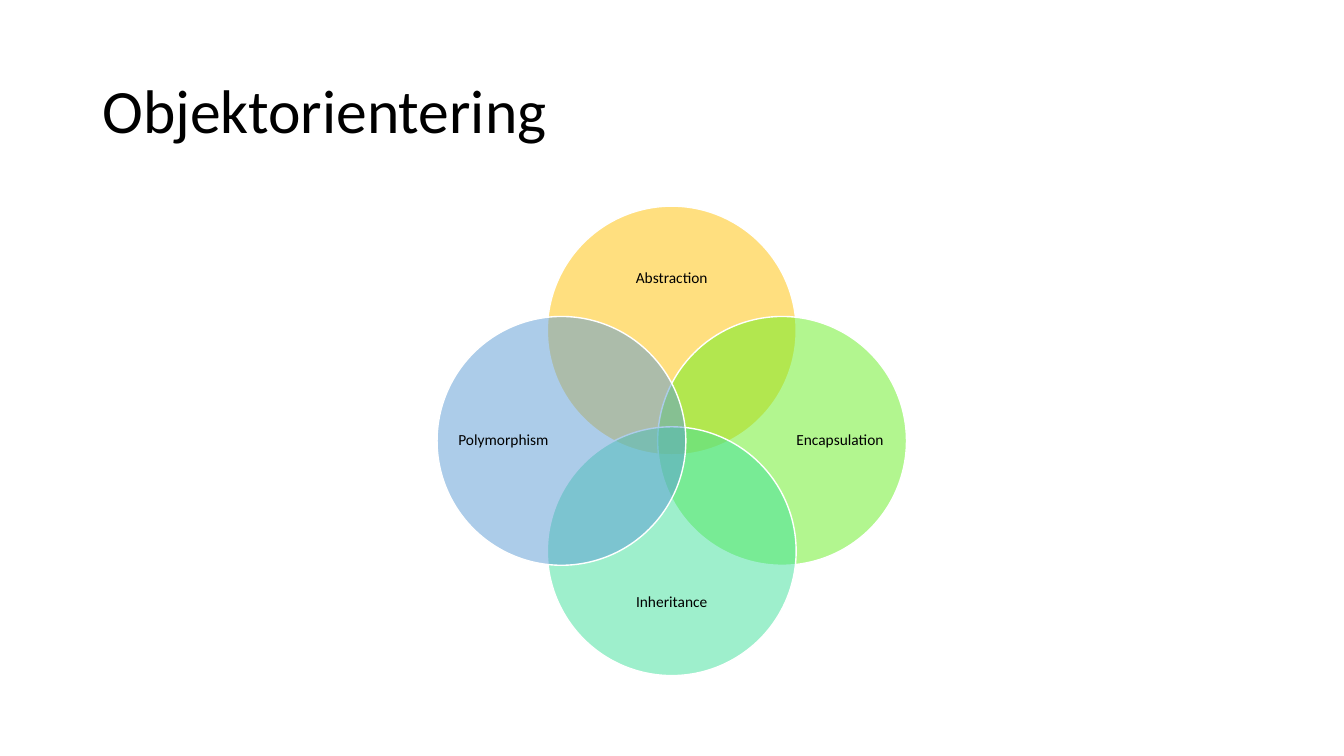
from dataclasses import dataclass

import lxml.etree
import pptx
import pptx.dml.color
import pptx.enum.shapes
import pptx.enum.text
import pptx.oxml.ns
import pptx.slide
import pptx.util
from pptx.util import Cm

CENTER_X, CENTER_Y = 16.93, 11.11
DIAMETER = 6.27
CIRCLE_OFFSET = 2.78
LABEL_OFFSET_X, LABEL_OFFSET_Y = 4.24, 4.08
LABEL_LONG = 4.83


@dataclass
class Principle:
    name: str
    color: str
    dx: int
    dy: int


PRINCIPLES = [
    Principle("Abstraction", "FFC000", 0, -1),
    Principle("Encapsulation", "67EF21", 1, 0),
    Principle("Inheritance", "3FE19B", 0, 1),
    Principle("Polymorphism", "5B9BD5", -1, 0),
]


def rgb(color: str) -> pptx.dml.color.RGBColor:
    return pptx.dml.color.RGBColor.from_string(color)


def add_text(s: pptx.slide.Slide, text: str, x: float, y: float, w: float, h: float,
             size: int, align: pptx.enum.text.PP_ALIGN, inset: bool) -> None:
    tf = s.shapes.add_textbox(Cm(x), Cm(y), Cm(w), Cm(h)).text_frame
    tf.word_wrap = True
    tf.vertical_anchor = pptx.enum.text.MSO_ANCHOR.MIDDLE
    if not inset:
        tf.margin_left = tf.margin_right = tf.margin_top = tf.margin_bottom = 0
    p = tf.paragraphs[0]
    p.alignment = align
    p.line_spacing = 0.9
    r = p.add_run()
    r.text = text
    r.font.name = "Calibri"
    r.font.size = pptx.util.Pt(size)
    r.font.color.rgb = rgb("000000")


def add_circle(s: pptx.slide.Slide, item: Principle) -> None:
    x = CENTER_X + item.dx * CIRCLE_OFFSET - DIAMETER / 2
    y = CENTER_Y + item.dy * CIRCLE_OFFSET - DIAMETER / 2
    sp = s.shapes.add_shape(pptx.enum.shapes.MSO_SHAPE.OVAL,
                            Cm(x), Cm(y), Cm(DIAMETER), Cm(DIAMETER))
    sp.shadow.inherit = False
    sp.fill.solid()
    sp.fill.fore_color.rgb = rgb(item.color)
    qn = pptx.oxml.ns.qn
    fill = sp.fill._xPr.find(qn("a:solidFill"))
    lxml.etree.SubElement(fill[0], qn("a:alpha"), val="50000")
    sp.line.color.rgb = rgb("FFFFFF")
    sp.line.width = pptx.util.Pt(1)


def add_label(s: pptx.slide.Slide, item: Principle) -> None:
    w, h = (2.41, LABEL_LONG) if item.dx else (LABEL_LONG, 2.01)
    x = CENTER_X + item.dx * LABEL_OFFSET_X - w / 2
    y = CENTER_Y + item.dy * LABEL_OFFSET_Y - h / 2
    add_text(s, item.name, x, y, w, h, 11, pptx.enum.text.PP_ALIGN.CENTER, False)


def main() -> None:
    prs = pptx.Presentation()
    prs.slide_width, prs.slide_height = Cm(33.87), Cm(19.05)
    s = prs.slides.add_slide(prs.slide_layouts[6])
    add_text(s, "Objektorientering", 2.33, 1.01, 29.21, 3.68, 44,
             pptx.enum.text.PP_ALIGN.LEFT, True)
    for item in PRINCIPLES:
        add_circle(s, item)
        add_label(s, item)
    prs.save("out.pptx")


if __name__ == "__main__":
    main()
